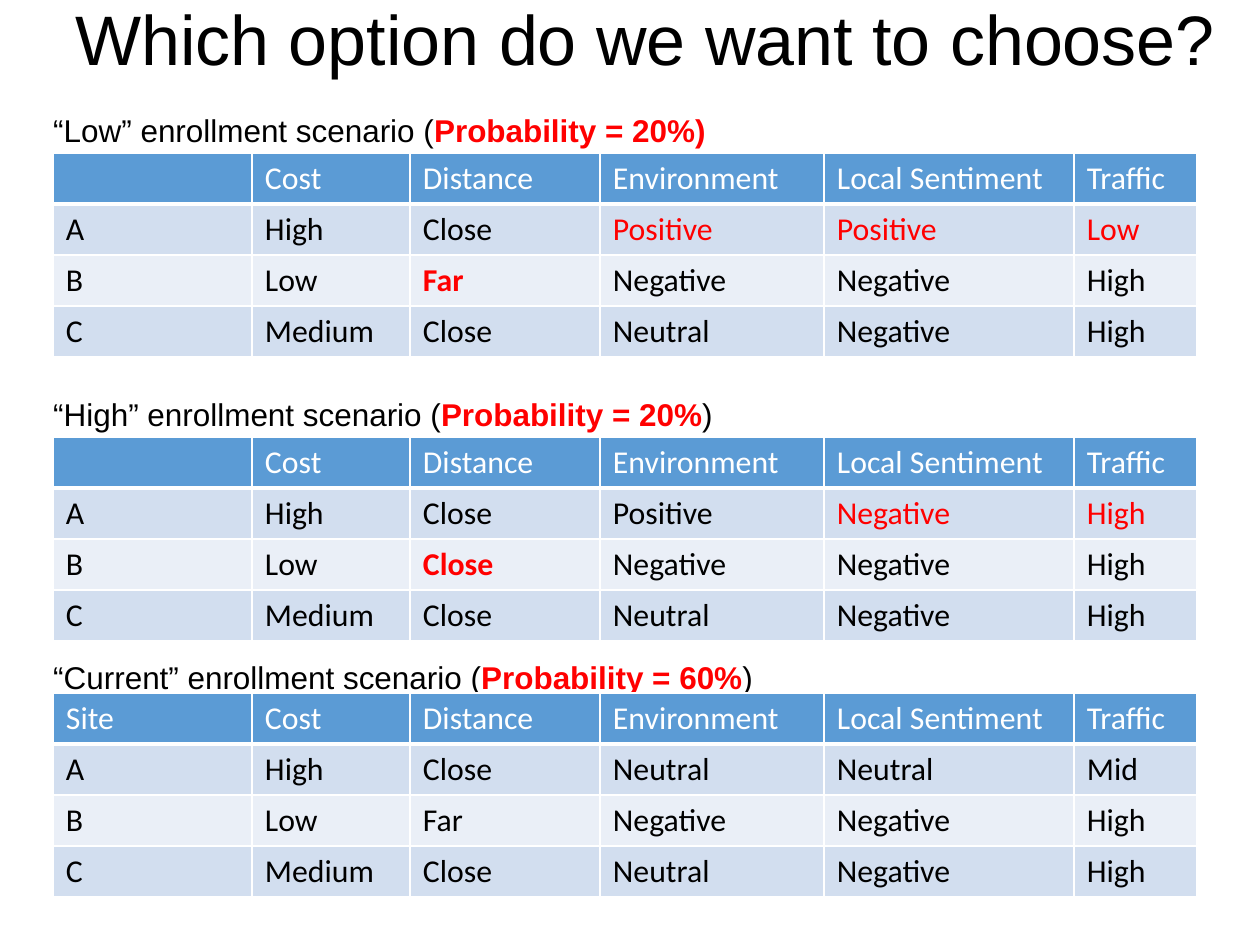
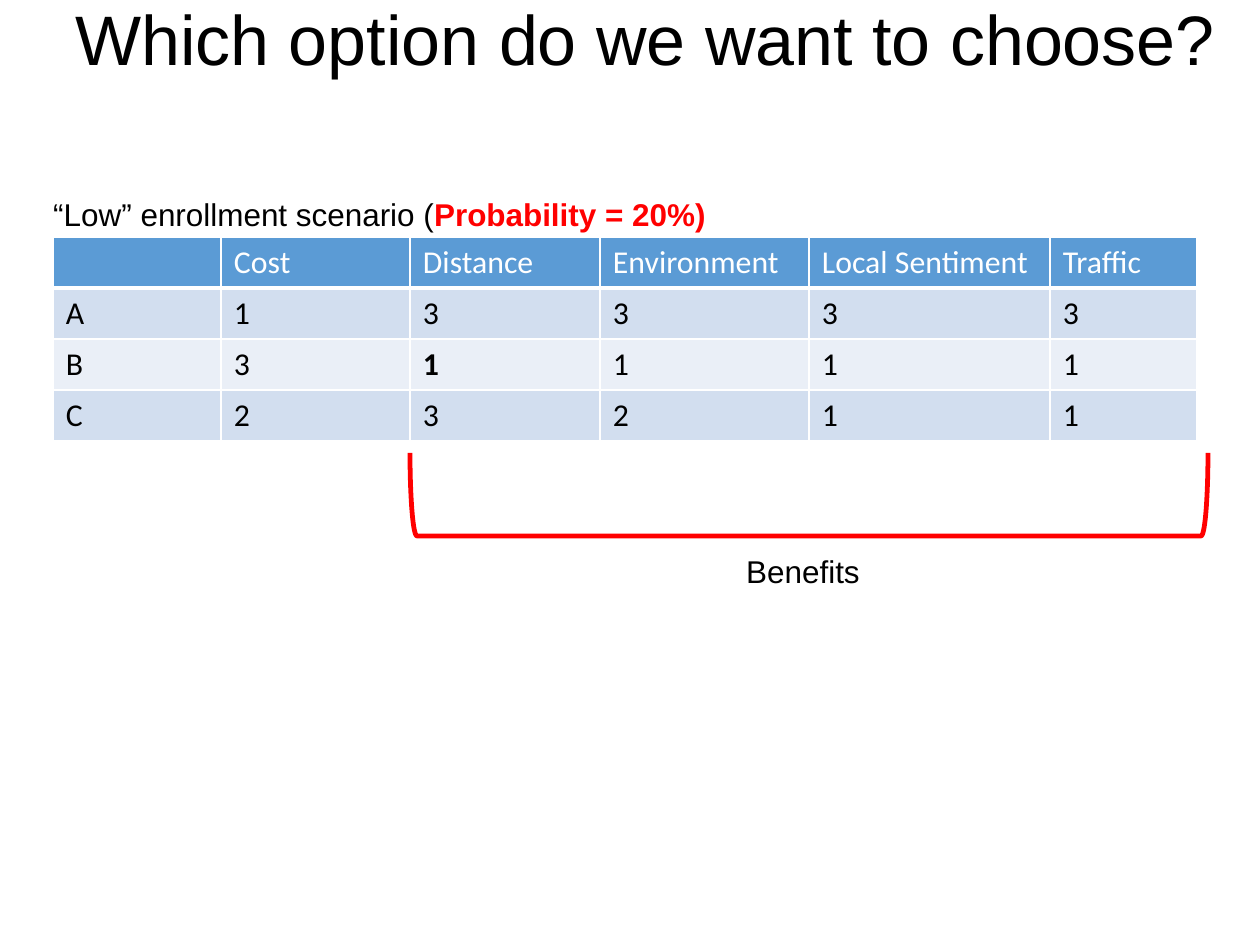
import dataclasses

import lxml.etree
import pptx
import pptx.dml.color
import pptx.enum.shapes
import pptx.enum.text
import pptx.oxml.ns
import pptx.util


@dataclasses.dataclass(frozen=True)
class Theme:
    ink: str = "000000"
    paper: str = "FFFFFF"
    alert: str = "FF0000"
    header: str = "5B9BD5"
    bands: tuple = ("D2DEEF", "EAEFF7")
    body_font: str = "Arial"
    table_font: str = "Calibri"
    title_size: float = 44.1
    caption_size: float = 19.8
    table_size: float = 20
    border: int = 1
    header_rule: int = 3
    bracket_line: int = 3


THEME = Theme()

# Content: a plain string, or (string, emphasis)
TITLE = "Which option do we want to choose?"
CRITERIA = ["Cost", "Distance", "Environment", "Local Sentiment", "Traffic"]
LOW_CAPTION = ["“Low” enrollment scenario (", ("Probability = 20%)", "strong")]

RATINGS = [
    {"caption": LOW_CAPTION, "caption_top": 105, "table_top": 153, "corner": "",
     "rows": [
         ["A", "High", "Close", ("Positive", "red"), ("Positive", "red"), ("Low", "red")],
         ["B", "Low", ("Far", "strong"), "Negative", "Negative", "High"],
         ["C", "Medium", "Close", "Neutral", "Negative", "High"]]},
    {"caption": ["“High” enrollment scenario (", ("Probability = 20%", "strong"), ")"],
     "caption_top": 389, "table_top": 437, "corner": "",
     "rows": [
         ["A", "High", "Close", "Positive", ("Negative", "red"), ("High", "red")],
         ["B", "Low", ("Close", "strong"), "Negative", "Negative", "High"],
         ["C", "Medium", "Close", "Neutral", "Negative", "High"]]},
    {"caption": ["“Current” enrollment scenario (", ("Probability = 60%", "strong"), ")"],
     "caption_top": 652, "table_top": 693, "corner": "Site",
     "rows": [
         ["A", "High", "Close", "Neutral", "Neutral", "Mid"],
         ["B", "Low", "Far", "Negative", "Negative", "High"],
         ["C", "Medium", "Close", "Neutral", "Negative", "High"]]},
]
SCORES = {"caption": LOW_CAPTION, "caption_top": 189, "table_top": 237, "corner": "",
          "rows": [
              ["A", "1", "3", "3", "3", "3"],
              ["B", "3", ("1", "bold"), "1", "1", "1"],
              ["C", "2", "3", "2", "1", "1"]]}
BENEFITS = "Benefits"

# Layout in px
SLIDE_W, SLIDE_H = 1260, 945
TITLE_BOX = (-105, -42, 1502, 158)
CAPTION_LEFT, CAPTION_W, CAPTION_H = 42, 924, 49
TABLE_LEFT, ROW_H = 53, 51
CELL_PAD_X, CELL_PAD_Y = 13, 6
RATING_COLUMNS = [199, 158, 190, 224, 250, 123]
SCORE_COLUMNS = [168, 189, 190, 209, 241, 147]
BRACKET_RIGHT, BRACKET_TOP, BRACKET_DEPTH = 1208, 453, 83
BENEFITS_BOX = (735, 546, 451, 49)


def px(length):
    return pptx.util.Emu(round(length * 8000))


def rgb(colour):
    return pptx.dml.color.RGBColor.from_string(colour)


def add_runs(paragraph, parts, font, size, colour=THEME.ink):
    for part in parts:
        text, emphasis = (part, "") if isinstance(part, str) else part
        run = paragraph.add_run()
        run.text = text
        run.font.name = font
        run.font.size = pptx.util.Pt(size)
        run.font.bold = emphasis in ("strong", "bold")
        run.font.color.rgb = rgb(THEME.alert if emphasis in ("strong", "red") else colour)


def add_text(slide, box, parts, size=THEME.caption_size):
    frame = slide.shapes.add_textbox(*map(px, box)).text_frame
    frame.word_wrap = True
    add_runs(frame.paragraphs[0], parts, THEME.body_font, size)
    return frame


def add_title(slide):
    frame = add_text(slide, TITLE_BOX, [TITLE], THEME.title_size)
    frame.margin_left = frame.margin_right = frame.margin_top = frame.margin_bottom = 0
    frame.vertical_anchor = pptx.enum.text.MSO_ANCHOR.MIDDLE
    frame.paragraphs[0].alignment = pptx.enum.text.PP_ALIGN.CENTER


def set_borders(cell, bottom):
    properties = cell._tc.get_or_add_tcPr()
    qn = pptx.oxml.ns.qn
    for side, width in zip("LRTB", [THEME.border] * 3 + [bottom]):
        line = lxml.etree.SubElement(properties, qn("a:ln" + side), w=str(pptx.util.Pt(width)))
        fill = lxml.etree.SubElement(line, qn("a:solidFill"))
        lxml.etree.SubElement(fill, qn("a:srgbClr"), val=THEME.paper)


def add_scenario(slide, scenario, columns):
    add_text(slide, (CAPTION_LEFT, scenario["caption_top"], CAPTION_W, CAPTION_H),
             scenario["caption"])
    rows = [[scenario["corner"]] + CRITERIA] + scenario["rows"]
    table = slide.shapes.add_table(
        len(rows), len(columns), px(TABLE_LEFT), px(scenario["table_top"]),
        px(sum(columns)), px(ROW_H * len(rows))).table
    for column, width in zip(table.columns, columns):
        column.width = px(width)
    for r, row in enumerate(rows):
        is_header = r == 0
        for c, content in enumerate(row):
            cell = table.cell(r, c)
            set_borders(cell, THEME.header_rule if is_header else THEME.border)
            cell.fill.solid()
            cell.fill.fore_color.rgb = rgb(THEME.header if is_header else THEME.bands[(r - 1) % 2])
            cell.margin_left = cell.margin_right = px(CELL_PAD_X)
            cell.margin_top = cell.margin_bottom = px(CELL_PAD_Y)
            if content:
                add_runs(cell.text_frame.paragraphs[0], [content], THEME.table_font,
                         THEME.table_size, THEME.paper if is_header else THEME.ink)


def add_benefits(slide):
    # The bracket spans from the Distance column and is turned to open upwards
    left = TABLE_LEFT + sum(SCORE_COLUMNS[:2])
    span = BRACKET_RIGHT - left
    shift = (span - BRACKET_DEPTH) / 2
    bracket = slide.shapes.add_shape(
        pptx.enum.shapes.MSO_SHAPE.RIGHT_BRACKET, px(left + shift), px(BRACKET_TOP - shift),
        px(BRACKET_DEPTH), px(span))
    bracket.rotation = 90
    bracket.shadow.inherit = False
    bracket.fill.background()
    bracket.line.color.rgb = rgb(THEME.alert)
    bracket.line.width = pptx.util.Pt(THEME.bracket_line)
    add_text(slide, BENEFITS_BOX, [BENEFITS])


def main():
    deck = pptx.Presentation()
    deck.slide_width, deck.slide_height = px(SLIDE_W), px(SLIDE_H)
    for scenarios, columns in ((RATINGS, RATING_COLUMNS), ([SCORES], SCORE_COLUMNS)):
        slide = deck.slides.add_slide(deck.slide_layouts[6])
        add_title(slide)
        for scenario in scenarios:
            add_scenario(slide, scenario, columns)
    add_benefits(slide)
    deck.save("out.pptx")


if __name__ == "__main__":
    main()
